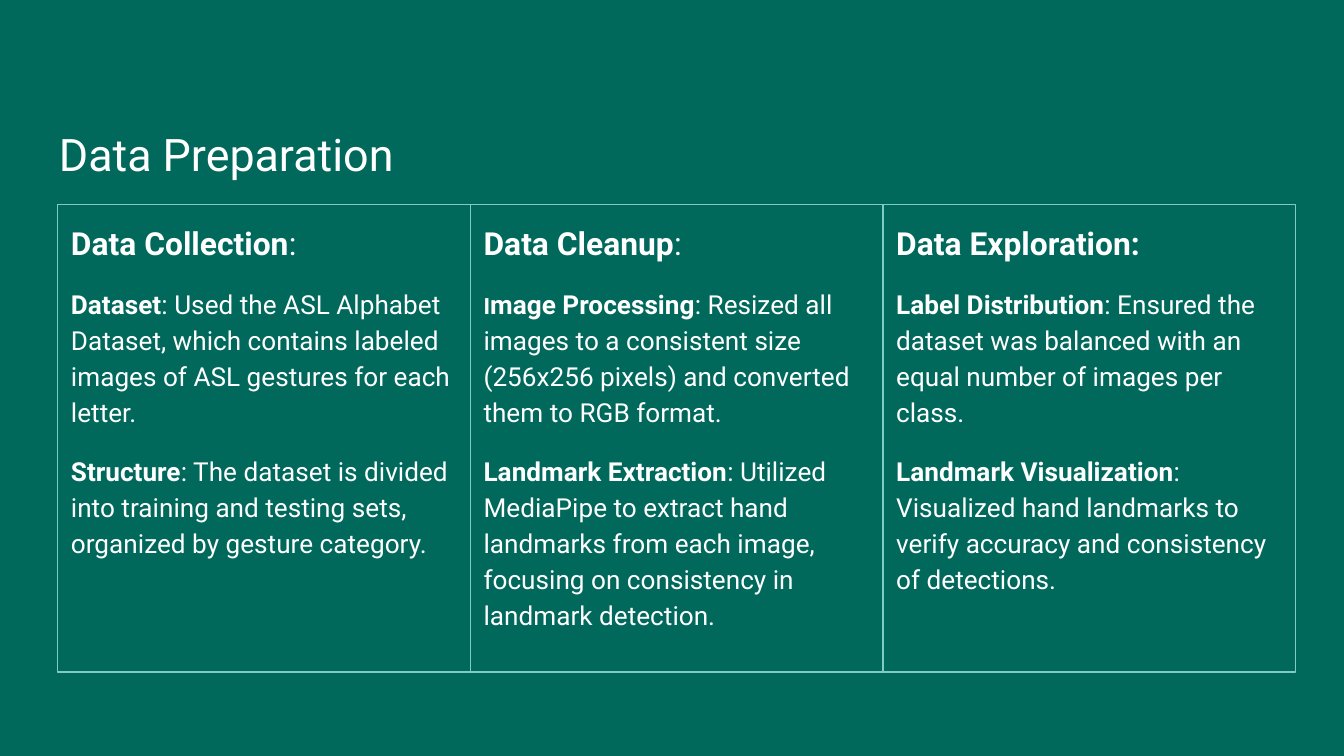
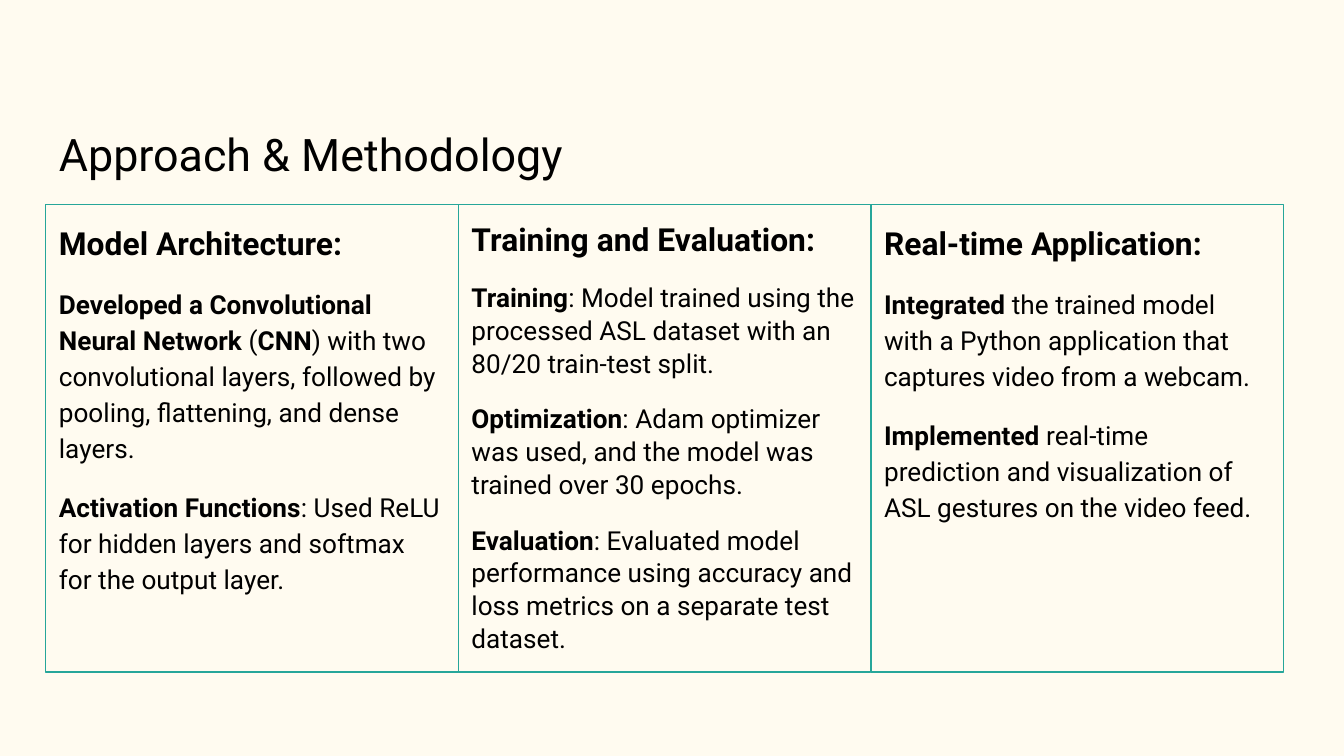
from dataclasses import dataclass

from pptx import Presentation
from pptx.dml.color import RGBColor
from pptx.enum.shapes import MSO_SHAPE
from pptx.enum.text import MSO_ANCHOR as Anchor, PP_ALIGN as Align
from pptx.util import Inches, Pt


# Theme
@dataclass(frozen=True)
class Theme:
    background: str
    text: str
    border: str
    font: str = "Roboto"
    title_size: int = 24
    heading_size: int = 17
    body_size: int = 14
    initial_size: int = 12
    paragraph_gap: int = 12
    border_width: float = 0.75


DARK = Theme(background="00695C", text="FFFFFF", border="80CBC4")
LIGHT = Theme(background="FFFBF0", text="000000", border="26A69A")

# Layout in inches, on a 16:9 slide
SLIDE_WIDTH = 10
SLIDE_HEIGHT = SLIDE_WIDTH * 9 / 16
TITLE_LEFT, TITLE_TOP, TITLE_HEIGHT = 0.34, 0.61, 0.83
COLUMN_TOP, COLUMN_WIDTH, COLUMN_HEIGHT = 1.52, 3.07, 3.48
INSETS = {"left": 0.1, "top": 0.1, "right": 0.11, "bottom": 0.1}


class Deck:
    """Holds the presentation, the theme and the current slide."""

    def __init__(self):
        self.presentation = Presentation()
        self.presentation.slide_width = Inches(SLIDE_WIDTH)
        self.presentation.slide_height = Inches(SLIDE_HEIGHT)

    def add_slide(self, theme):
        self.theme = theme
        self.slide = self.presentation.slides.add_slide(self.presentation.slide_layouts[6])
        fill = self.slide.background.fill
        fill.solid()
        fill.fore_color.rgb = RGBColor.from_string(theme.background)

    def format_frame(self, frame, anchor):
        settings = {"word_wrap": True, "vertical_anchor": anchor}
        for side, inset in INSETS.items():
            settings[f"margin_{side}"] = Inches(inset)
        for name, value in settings.items():
            setattr(frame, name, value)

    def add_run(self, paragraph, text, size, bold=False):
        run = paragraph.add_run()
        run.text = text
        settings = {"name": self.theme.font, "size": Pt(size), "bold": bold}
        for name, value in settings.items():
            setattr(run.font, name, value)
        run.font.color.rgb = RGBColor.from_string(self.theme.text)

    def add_title(self, text, width):
        box = self.slide.shapes.add_textbox(
            Inches(TITLE_LEFT), Inches(TITLE_TOP), Inches(width), Inches(TITLE_HEIGHT))
        self.format_frame(box.text_frame, Anchor.BOTTOM)
        self.add_run(box.text_frame.paragraphs[0], text, self.theme.title_size)

    def add_column(self, left, paragraphs, line_spacing):
        """Each paragraph is a list of runs: (text, bold) or (text, bold, size)."""
        panel = self.slide.shapes.add_shape(
            MSO_SHAPE.RECTANGLE, Inches(left), Inches(COLUMN_TOP),
            Inches(COLUMN_WIDTH), Inches(COLUMN_HEIGHT))
        panel.shadow.inherit = False
        panel.fill.background()
        panel.line.color.rgb = RGBColor.from_string(self.theme.border)
        panel.line.width = Pt(self.theme.border_width)

        frame = panel.text_frame
        self.format_frame(frame, Anchor.TOP)
        for index, runs in enumerate(paragraphs):
            paragraph = frame.add_paragraph() if index else frame.paragraphs[0]
            is_last = index == len(paragraphs) - 1
            settings = {
                "alignment": Align.LEFT,
                "line_spacing": line_spacing,
                "space_before": Pt(self.theme.paragraph_gap if index else 0),
                "space_after": Pt(self.theme.paragraph_gap if is_last else 0),
            }
            for name, value in settings.items():
                setattr(paragraph, name, value)
            default_size = self.theme.body_size if index else self.theme.heading_size
            for text, bold, *size in runs:
                self.add_run(paragraph, text, size[0] if size else default_size, bold)

    def add_columns(self, left, columns, spacings=(1.15, 1.15, 1.15)):
        for index, (paragraphs, spacing) in enumerate(zip(columns, spacings)):
            self.add_column(left + index * COLUMN_WIDTH, paragraphs, spacing)


# Content
def lead(term, rest):
    """A paragraph that opens with a bold term."""
    return [(term, True), (rest, False)]


PREPARATION = [
    [
        lead("Data Collection", ":"),
        lead("Dataset", ": Used the ASL Alphabet Dataset, which contains labeled "
                        "images of ASL gestures for each letter."),
        lead("Structure", ": The dataset is divided into training and testing sets, "
                          "organized by gesture category."),
    ],
    [
        lead("Data Cleanup", ":"),
        [("I", True, DARK.initial_size)]
        + lead("mage Processing", ": Resized all images to a consistent size "
                                  "(256x256 pixels) and converted them to RGB format."),
        lead("Landmark Extraction", ": Utilized MediaPipe to extract hand landmarks from "
                                    "each image, focusing on consistency in landmark detection."),
    ],
    [
        [("Data Exploration:", True)],
        lead("Label Distribution", ": Ensured the dataset was balanced with an equal "
                                   "number of images per class."),
        lead("Landmark Visualization", ": Visualized hand landmarks to verify accuracy "
                                       "and consistency of detections."),
    ],
]

METHODOLOGY = [
    [
        [("Model Architecture:", True)],
        lead("Developed a Convolutional Neural Network ", "(")
        + lead("CNN", ") with two convolutional layers, followed by pooling, "
                      "flattening, and dense layers."),
        lead("Activation Functions", ": Used ReLU for hidden layers and softmax "
                                     "for the output layer."),
    ],
    [
        [("Training and Evaluation:", True)],
        lead("Training", ": Model trained using the processed ASL dataset with an "
                         "80/20 train-test split."),
        lead("Optimization", ": Adam optimizer was used, and the model was trained "
                             "over 30 epochs."),
        lead("Evaluation", ": Evaluated model performance using accuracy and loss "
                           "metrics on a separate test dataset."),
    ],
    [
        [("Real-time Application:", True)],
        lead("Integrated", " the trained model with a Python application that "
                           "captures video from a webcam."),
        lead("Implemented", " real-time prediction and visualization of ASL gestures "
                            "on the video feed."),
    ],
]


def main():
    deck = Deck()

    # Data preparation
    deck.add_slide(DARK)
    deck.add_title("Data Preparation", width=4.83)
    deck.add_columns(0.43, PREPARATION)

    # Approach and methodology
    deck.add_slide(LIGHT)
    deck.add_title("Approach & Methodology", width=4.19)
    deck.add_columns(0.34, METHODOLOGY, spacings=(1.15, 1.05, 1.15))

    deck.presentation.save("out.pptx")


if __name__ == "__main__":
    main()
